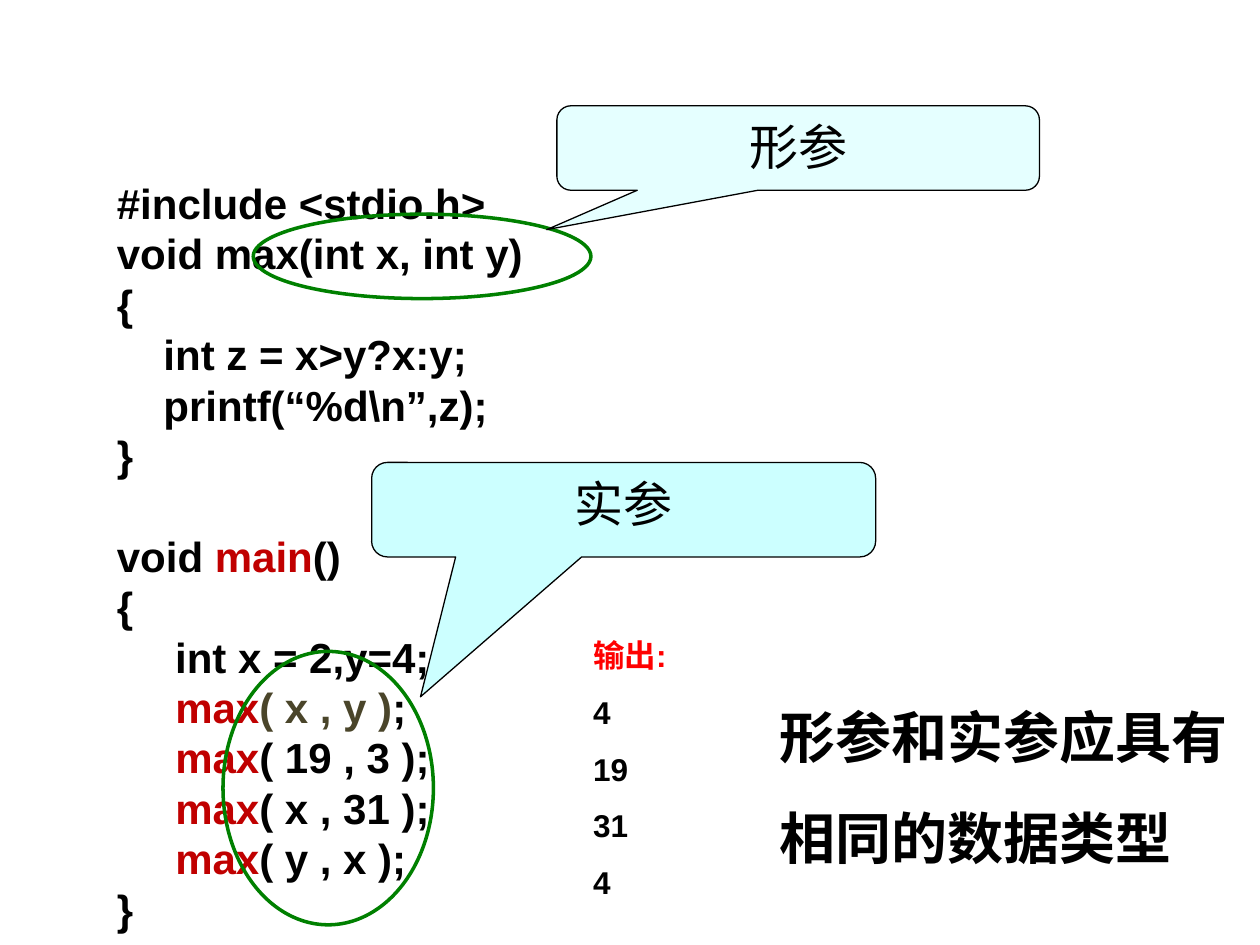
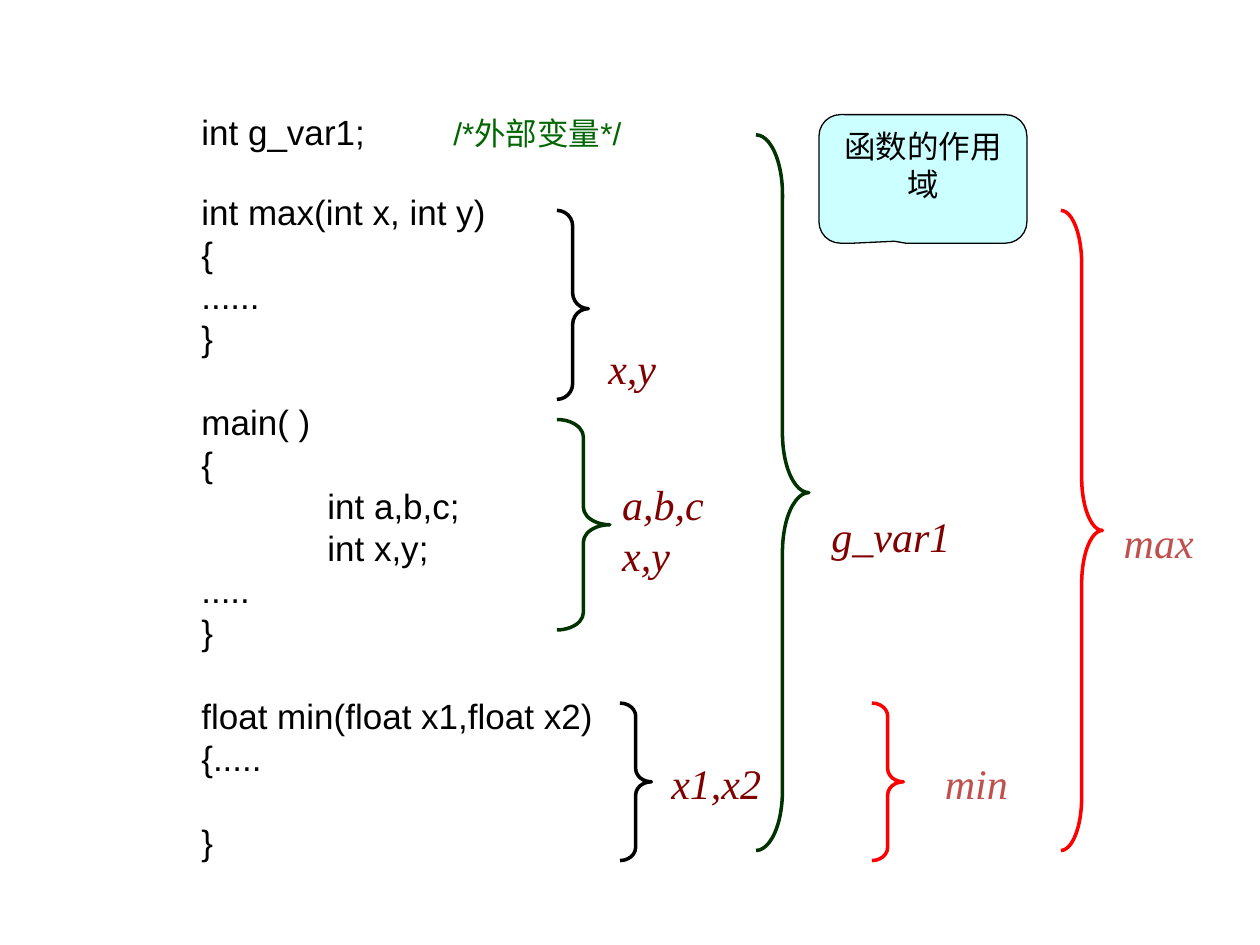
"""Build two slides on C function parameters and variable scope."""
from dataclasses import dataclass
from typing import NamedTuple

from lxml.etree import SubElement
from pptx import Presentation
from pptx.dml.color import RGBColor
from pptx.enum.shapes import MSO_SHAPE as Preset
from pptx.enum.text import MSO_ANCHOR as Anchor, MSO_AUTO_SIZE as AutoSize, PP_ALIGN as Align
from pptx.oxml.ns import qn
from pptx.util import Inches, Pt

BLACK = RGBColor(0x00, 0x00, 0x00)
WHITE = RGBColor(0xFF, 0xFF, 0xFF)
RED = RGBColor(0xFF, 0x00, 0x00)
KEYWORD_RED = RGBColor(0xC0, 0x00, 0x00)
OLIVE = RGBColor(0x4A, 0x45, 0x2A)
RING_GREEN = RGBColor(0x00, 0x80, 0x00)
COMMENT_GREEN = RGBColor(0x00, 0x66, 0x00)
SCOPE_GREEN = RGBColor(0x00, 0x33, 0x00)
MAROON = RGBColor(0x80, 0x00, 0x00)
BRICK = RGBColor(0xC0, 0x50, 0x4D)
CYAN = RGBColor(0xCC, 0xFF, 0xFF)

CODE_FONT = "Arial"
CALLOUT_FONT = "Comic Neue"
SCOPE_FONT = "Times New Roman"
LINE_PITCH = 1.2


class Place(NamedTuple):
    left: float
    top: float
    width: float
    height: float

    def lengths(self) -> list:
        return [Inches(value) for value in self]


class Span(NamedTuple):
    text: str
    color: RGBColor | None = None
    size: float | None = None


@dataclass
class Line:
    spans: list[Span]
    gap: float = 0


@dataclass
class Callout:
    place: Place
    text: str
    tip: tuple[float, float]
    size: float = 28
    font: str = CALLOUT_FONT
    opacity: int = 100


@dataclass
class Scope:
    brace: Place
    color: RGBColor
    label: Place
    names: list[str]
    label_color: RGBColor = MAROON
    tip: float = 0.5


def code(text: str, gap: float = 0) -> Line:
    return Line([Span(text)], gap)


def max_call(arguments: str) -> Line:
    return Line([Span("     "), Span("max", KEYWORD_RED), Span(arguments)])


PARAMETER_CODE = [
    code("#include <stdio.h>"),
    code("void max(int x, int y)"),
    code("{"),
    code("    int z = x>y?x:y;"),
    code("    printf(“%d\\n”,z);"),
    code("}"),
    Line([Span("void"), Span(" main", KEYWORD_RED), Span("()")], gap=28.8),
    code("{"),
    code("     int x = 2,y=4;"),
    Line([Span("     "), Span("max", KEYWORD_RED), Span("( x , y )", OLIVE), Span(";")]),
    *(max_call(arguments) for arguments in ("( 19 , 3 );", "( x , 31 );", "( y , x );")),
    code("}"),
]
OUTPUT = [Line([Span("输出:", RED)]), *(code(value) for value in ("4", "19", "31", "4"))]
RINGS = [Place(2.01, 1.7, 2.68, 0.67), Place(1.77, 5.17, 1.67, 2.17)]
PARAMETER_CALLOUTS = [
    Callout(Place(4.42, 0.84, 3.83, 0.67), "形参", (-0.521, 0.967), opacity=50),
    Callout(Place(2.95, 3.67, 4, 0.75), "实参", (-0.403, 1.98)),
]

SCOPE_CODE = [
    Line([Span("int g_var1;\t"), Span("/*外部变量*/", COMMENT_GREEN, 18)]),
    code("int max(int x, int y)", gap=21.6),
    code("{"),
    code("......"),
    code("}"),
    code("main( )", gap=24),
    code("{"),
    code("\tint a,b,c;"),
    code("\tint x,y;"),
    code("....."),
    code("}"),
    code("float min(float x1,float x2)", gap=24),
    code("{....."),
    code("}", gap=24),
]
SCOPES = [
    Scope(Place(4.42, 1.67, 0.25, 1.5), BLACK, Place(4.73, 2.67, 0.6, 0.5), ["x,y"], tip=0.52),
    Scope(Place(4.42, 3.33, 0.42, 1.67), SCOPE_GREEN, Place(4.84, 3.75, 0.9, 0.9), ["a,b,c", "x,y"]),
    Scope(Place(6, 1.07, 0.42, 5.68), SCOPE_GREEN, Place(6.5, 4, 1.25, 0.5), ["g_var1"]),
    Scope(Place(4.92, 5.58, 0.25, 1.25), BLACK, Place(5.23, 5.96, 0.95, 0.5), ["x1,x2"]),
    Scope(Place(8.42, 1.67, 0.33, 5.08), RED, Place(8.82, 4.05, 0.8, 0.5), ["max"], BRICK),
    Scope(Place(6.92, 5.58, 0.25, 1.25), RED, Place(7.4, 5.96, 0.75, 0.5), ["min"], BRICK),
]
SCOPE_CALLOUT = Callout(Place(6.5, 0.91, 1.65, 1.02), "函数的作用域", (-0.137, 0.485), 18, CODE_FONT)


def write(box, lines: list[Line], *, size: float, font: str = CODE_FONT,
          color: RGBColor = BLACK, bold: bool = False, italic: bool = False,
          align=Align.LEFT, spacing: float = 1, wrap: bool = True) -> None:
    frame = box.text_frame
    frame.word_wrap = wrap
    frame.auto_size = AutoSize.NONE if wrap else AutoSize.SHAPE_TO_FIT_TEXT
    frame.vertical_anchor = Anchor.TOP
    for index, line in enumerate(lines):
        para = frame.add_paragraph() if index else frame.paragraphs[0]
        para.alignment = align
        para.line_spacing = Pt(size * LINE_PITCH * spacing)
        if line.gap:
            para.space_before = Pt(line.gap)
        if any("\t" in span.text for span in line.spans):
            add_tab_stops(para)
        for span in line.spans:
            run = para.add_run()
            run.text = span.text
            run.font.name = font
            run.font.size = Pt(span.size or size)
            run.font.bold = bold
            run.font.italic = italic
            run.font.color.rgb = span.color or color


def add_tab_stops(para) -> None:
    stops = SubElement(para._p.get_or_add_pPr(), qn("a:tabLst"))
    for inch in range(1, 4):
        SubElement(stops, qn("a:tab"), pos=str(Inches(inch)), algn="l")


def add_text(page, place: Place, lines: list[Line], **style) -> None:
    write(page.shapes.add_textbox(*place.lengths()), lines, **style)


def add_preset(page, preset, place: Place, *, fill: RGBColor | None = None,
               line: RGBColor | None = None, weight: float = 2):
    shape = page.shapes.add_shape(preset, *place.lengths())
    shape.shadow.inherit = False
    if fill is None:
        shape.fill.background()
    else:
        shape.fill.solid()
        shape.fill.fore_color.rgb = fill
    if line is None:
        shape.line.fill.background()
    else:
        shape.line.color.rgb = line
        shape.line.width = Pt(weight)
    return shape


def add_callout(page, callout: Callout) -> None:
    shape = add_preset(page, Preset.ROUNDED_RECTANGULAR_CALLOUT, callout.place,
                       fill=CYAN, line=BLACK, weight=0.75)
    shape.adjustments[0], shape.adjustments[1] = callout.tip
    if callout.opacity < 100:
        tint = shape._element.spPr.find(qn("a:solidFill"))[0]
        SubElement(tint, qn("a:alpha"), val=str(callout.opacity * 1000))
    write(shape, [code(callout.text)], size=callout.size, font=callout.font, align=Align.CENTER)


def add_scope(page, scope: Scope) -> None:
    brace = add_preset(page, Preset.RIGHT_BRACE, scope.brace, line=scope.color)
    brace.adjustments[0] = scope.brace.height / 12 / scope.brace.width
    brace.adjustments[1] = scope.tip
    add_text(page, scope.label, [code(name) for name in scope.names], size=24,
             font=SCOPE_FONT, color=scope.label_color, italic=True, wrap=False)


def build_parameter_page(page) -> None:
    add_text(page, Place(0.83, 1.36, 5, 6.5), PARAMETER_CODE, size=24, bold=True)
    output_box = add_preset(page, Preset.RECTANGLE, Place(4.61, 4.85, 1.57, 2.35), fill=WHITE)
    write(output_box, OUTPUT, size=18, bold=True, spacing=1.5)
    for ring in RINGS:
        add_preset(page, Preset.OVAL, ring, line=RING_GREEN)
    for callout in PARAMETER_CALLOUTS:
        add_callout(page, callout)
    add_text(page, Place(6.09, 5.26, 4.01, 1.7), [code("形参和实参应具有相同的数据类型")],
             size=32, bold=True, spacing=1.5)


def build_scope_page(page) -> None:
    add_text(page, Place(1.5, 0.83, 5, 6.07), SCOPE_CODE, size=20)
    for scope in SCOPES:
        add_scope(page, scope)
    add_callout(page, SCOPE_CALLOUT)


def main() -> None:
    deck = Presentation()
    deck.slide_width, deck.slide_height = Inches(10), Inches(7.5)
    blank = deck.slide_layouts[6]
    for build in (build_parameter_page, build_scope_page):
        build(deck.slides.add_slide(blank))
    deck.save("out.pptx")


if __name__ == "__main__":
    main()
